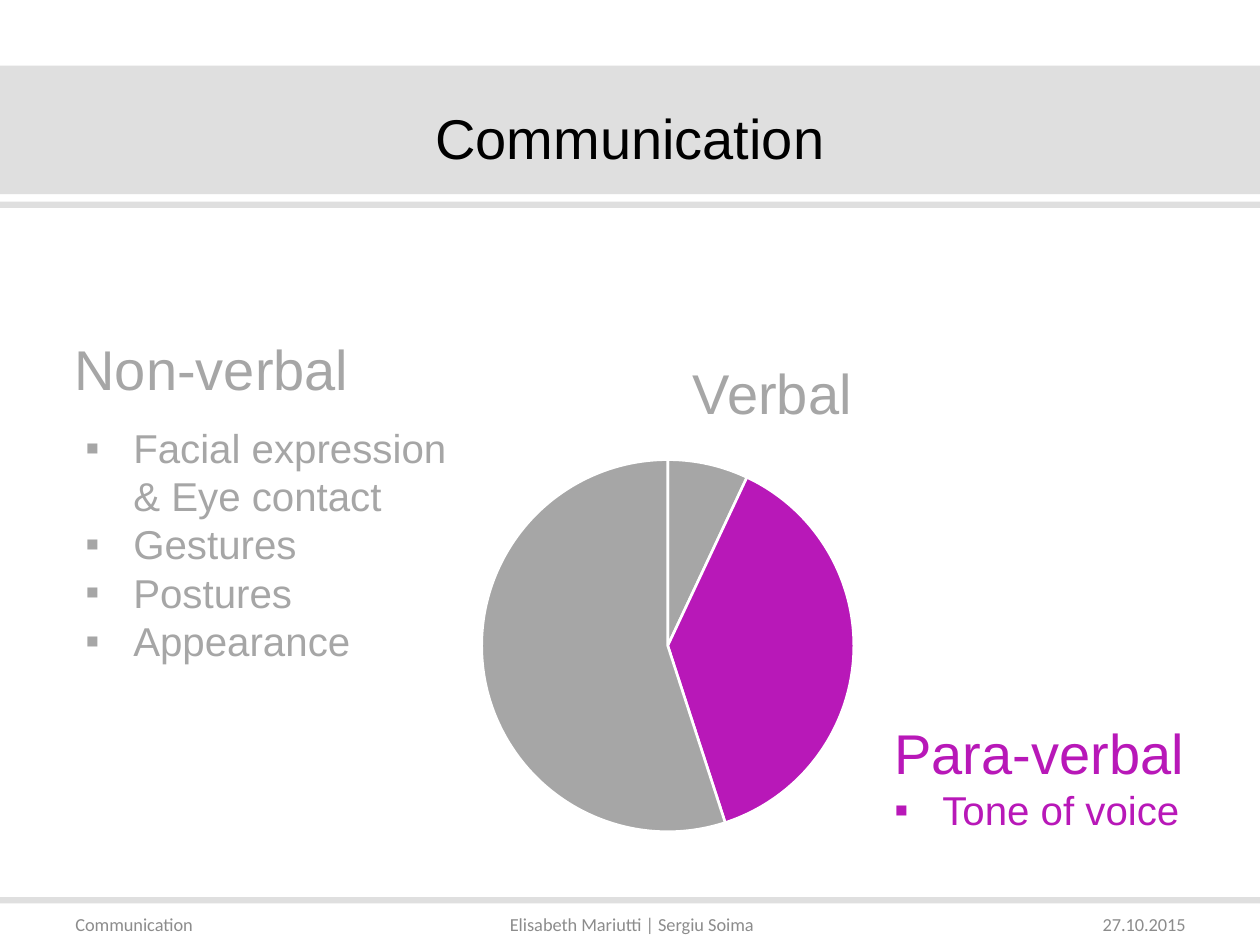
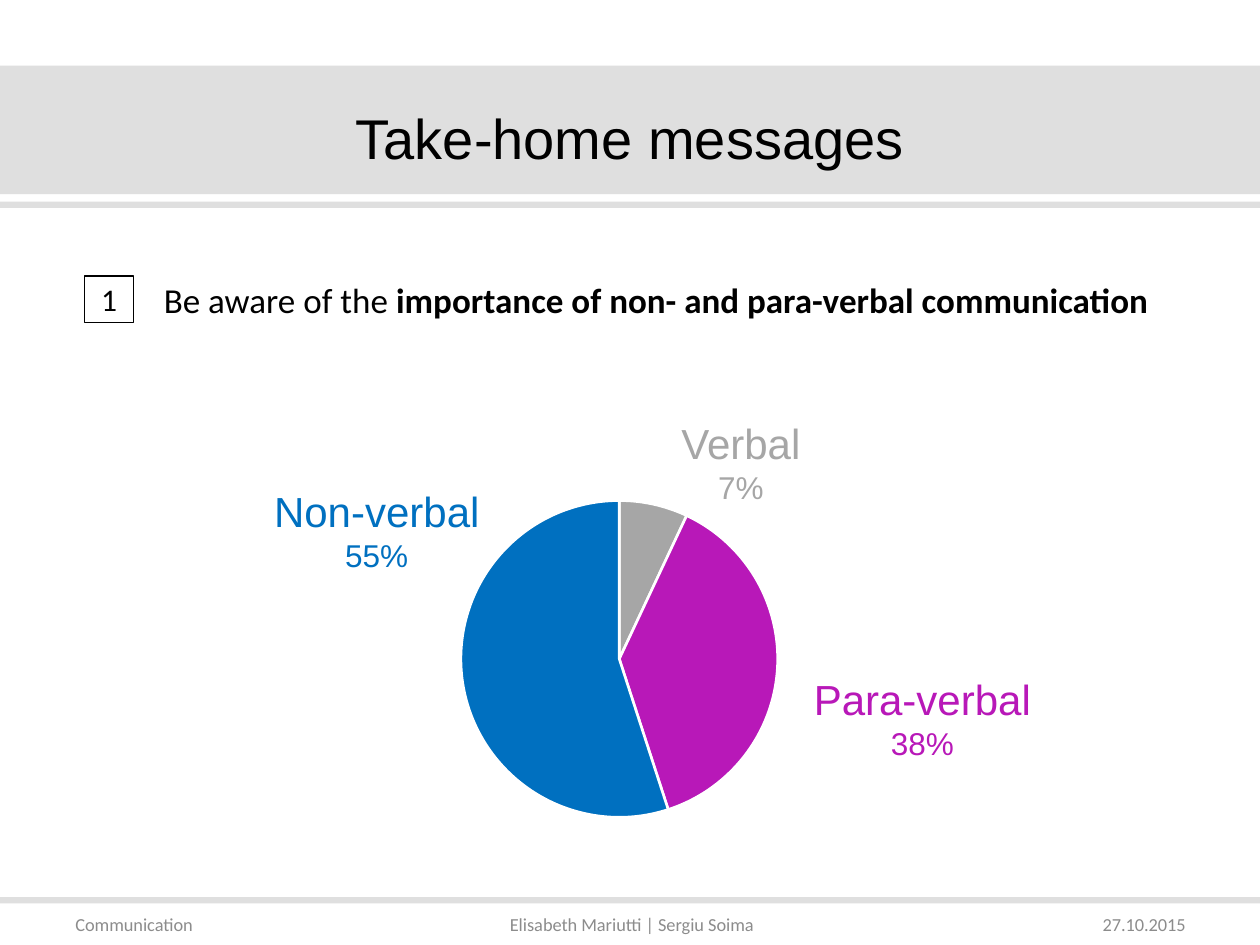
from lxml import etree
from pptx import Presentation
from pptx import util as u
from pptx.chart import data as chart_data
from pptx.dml import color as dml
from pptx.enum import chart as chart_types, shapes, text
from pptx.oxml import ns

COLORS = {
    "band": "DFDFDF",
    "footer": "8C8C8C",
    "black": "000000",
    "white": "FFFFFF",
    "muted": "A6A6A6",
    "para": "B818B8",
    "nonverbal": "0070C0",
}
LEFT, CENTER, RIGHT = text.PP_ALIGN.LEFT, text.PP_ALIGN.CENTER, text.PP_ALIGN.RIGHT
CHANNELS = {"Verbal": 7, "Para-verbal": 38, "Non-verbal": 55}


def rgb(name):
    return dml.RGBColor.from_string(COLORS[name])


def write(slide, content, box=None, shape=None, same_line=False, size=18, font="Arial",
          color="black", align=CENTER, bold=False, bullet_margin=None, inset=None):
    if shape is None:
        shape = slide.shapes.add_textbox(*[u.Inches(length) for length in box])
    frame = shape.text_frame
    frame.word_wrap = True
    frame.vertical_anchor = text.MSO_ANCHOR.MIDDLE
    if inset is not None:
        frame.margin_left = frame.margin_right = u.Inches(inset)
        frame.margin_top = frame.margin_bottom = u.Inches(inset)
    paragraph = frame.paragraphs[-1]
    if paragraph.runs and not same_line:
        paragraph = frame.add_paragraph()
    paragraph.alignment = align
    for index, line in enumerate(content.split("\n")):
        if index:
            paragraph.add_line_break()
        run = paragraph.add_run()
        run.text = line
        run.font.size = u.Pt(size)
        run.font.name = font
        run.font.bold = bold
        run.font.color.rgb = rgb(color)
    if bullet_margin is not None:
        properties = paragraph._p.get_or_add_pPr()
        properties.set("marL", str(u.Inches(bullet_margin)))
        properties.set("indent", str(u.Inches(-0.38)))
        etree.SubElement(properties, ns.qn("a:buFont")).set("typeface", "Arial")
        etree.SubElement(properties, ns.qn("a:buChar")).set("char", "▪")
    return shape


presentation = Presentation()
presentation.slide_width = u.Inches(10)
presentation.slide_height = u.Inches(7.5)

FOOTERS = [
    ("Communication", (0.5, 7.17, 2.33, 0.33), LEFT),
    ("Elisabeth Mariutti | Sergiu Soima", (2.84, 7.17, 4.35, 0.33), CENTER),
    ("27.10.2015", (7.68, 7.17, 1.83, 0.33), RIGHT),
]
BANDS = [(0.52, 1.02), (1.6, 0.05), (7.12, 0.05)]
SLIDES = [
    ("Communication", (3.68, 3.51, 3.24, 3.23), ["muted", "para", "muted"]),
    ("Take-home messages", (3.52, 3.72, 2.79, 3.02), ["muted", "para", "nonverbal"]),
]

for title, chart_box, slice_colors in SLIDES:
    slide = presentation.slides.add_slide(presentation.slide_layouts[6])
    for top, height in BANDS:
        band = slide.shapes.add_shape(shapes.MSO_SHAPE.RECTANGLE, 0, u.Inches(top),
                                      presentation.slide_width, u.Inches(height))
        band.shadow.inherit = False
        band.fill.solid()
        band.fill.fore_color.rgb = rgb("band")
        band.line.fill.background()
    write(slide, title, (0, 0.52, 10, 1.13), size=32)
    for footer, box, align in FOOTERS:
        write(slide, footer, box, size=10.5, font="Calibri", color="footer", align=align)

    pie_data = chart_data.CategoryChartData()
    pie_data.categories = list(CHANNELS)
    pie_data.add_series("Series 1", list(CHANNELS.values()))
    pie = slide.shapes.add_chart(chart_types.XL_CHART_TYPE.PIE,
                                 *[u.Inches(length) for length in chart_box], pie_data).chart
    pie.has_legend = False
    pie.has_title = False
    pie.font.size = u.Pt(10)
    pie.font.name = "Calibri"
    pie.font.color.rgb = rgb("black")
    pie.plots[0].vary_by_categories = True
    for index, color in enumerate(slice_colors):
        slice_format = pie.plots[0].series[0].points[index].format
        slice_format.fill.solid()
        slice_format.fill.fore_color.rgb = rgb(color)
        slice_format.line.color.rgb = rgb("white")
        slice_format.line.width = u.Pt(1.5)

communication, messages = presentation.slides

write(communication, "Verbal", (4.73, 2.61, 2.8, 1), size=32, color="muted")
write(communication, "Non-verbal", (0.28, 2.42, 2.8, 1), size=32, color="muted")
para_verbal = write(communication, "Para-verbal", (7, 5.66, 2.65, 1), size=32,
                    color="para", align=LEFT, inset=0.1)
write(communication, "Tone of voice", shape=para_verbal, size=23, color="para",
      align=LEFT, bullet_margin=0.38)
cues = None
for cue in ["Facial expression\n& Eye contact", "Gestures", "Postures", "Appearance"]:
    cues = write(communication, cue, (0.4, 2.9, 3.43, 2.83), shape=cues, size=23,
                 color="muted", align=LEFT, bullet_margin=0.56)

LABELS = [
    ("Verbal", (4.68, 3.2, 2.4, 0.93), "muted"),
    ("Para-verbal", (5.88, 5.23, 2.88, 0.93), "para"),
    ("Non-verbal", (1.79, 3.74, 2.4, 0.93), "nonverbal"),
]
for channel, box, color in LABELS:
    label = write(messages, channel, box, size=24, color=color)
    write(messages, f"{CHANNELS[channel]}%", shape=label, color=color)

number = messages.shapes.add_shape(shapes.MSO_SHAPE.RECTANGLE, u.Inches(0.67), u.Inches(2.19),
                                   u.Inches(0.39), u.Inches(0.37))
number.shadow.inherit = False
number.fill.background()
number.line.color.rgb = rgb("black")
number.line.width = u.Pt(1)
write(messages, "1", shape=number, font="Calibri", inset=0)
message = write(messages, "Be aware of the ", (1.3, 2.19, 7.95, 0.37), size=20,
                font="Calibri", align=LEFT, inset=0)
write(messages, "importance of non- and para-verbal communication", shape=message,
      same_line=True, size=20, font="Calibri", align=LEFT, bold=True)

presentation.save("out.pptx")
